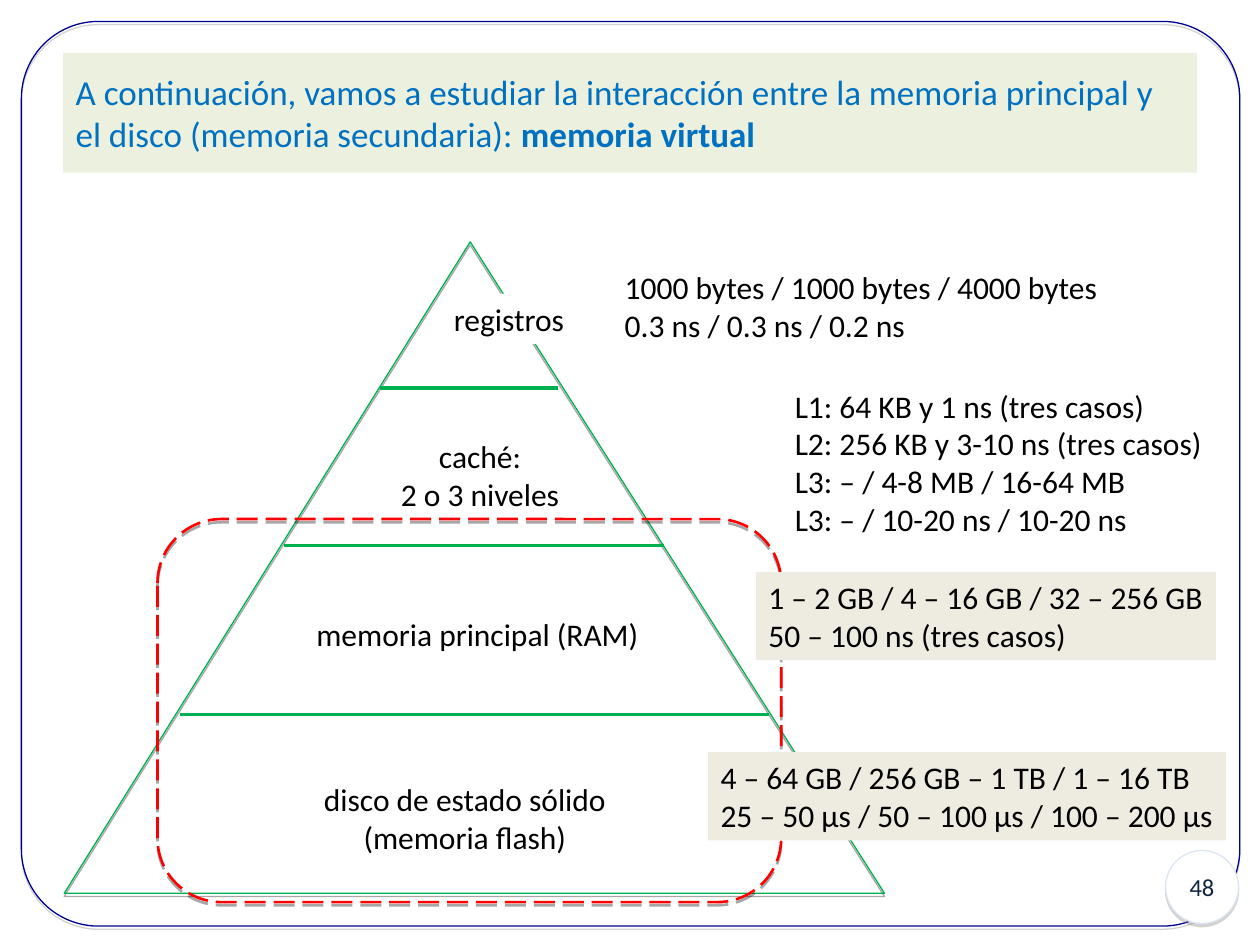
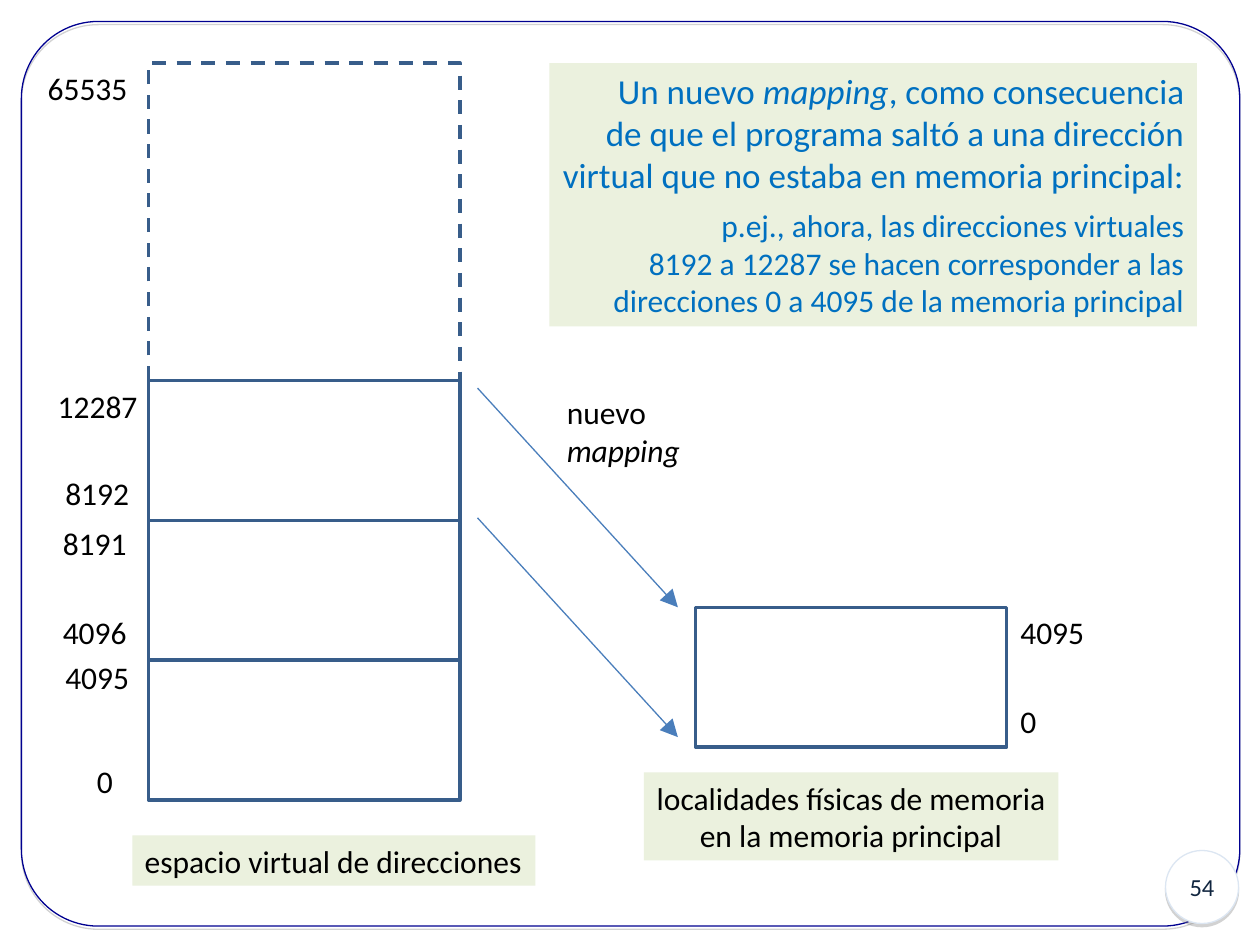
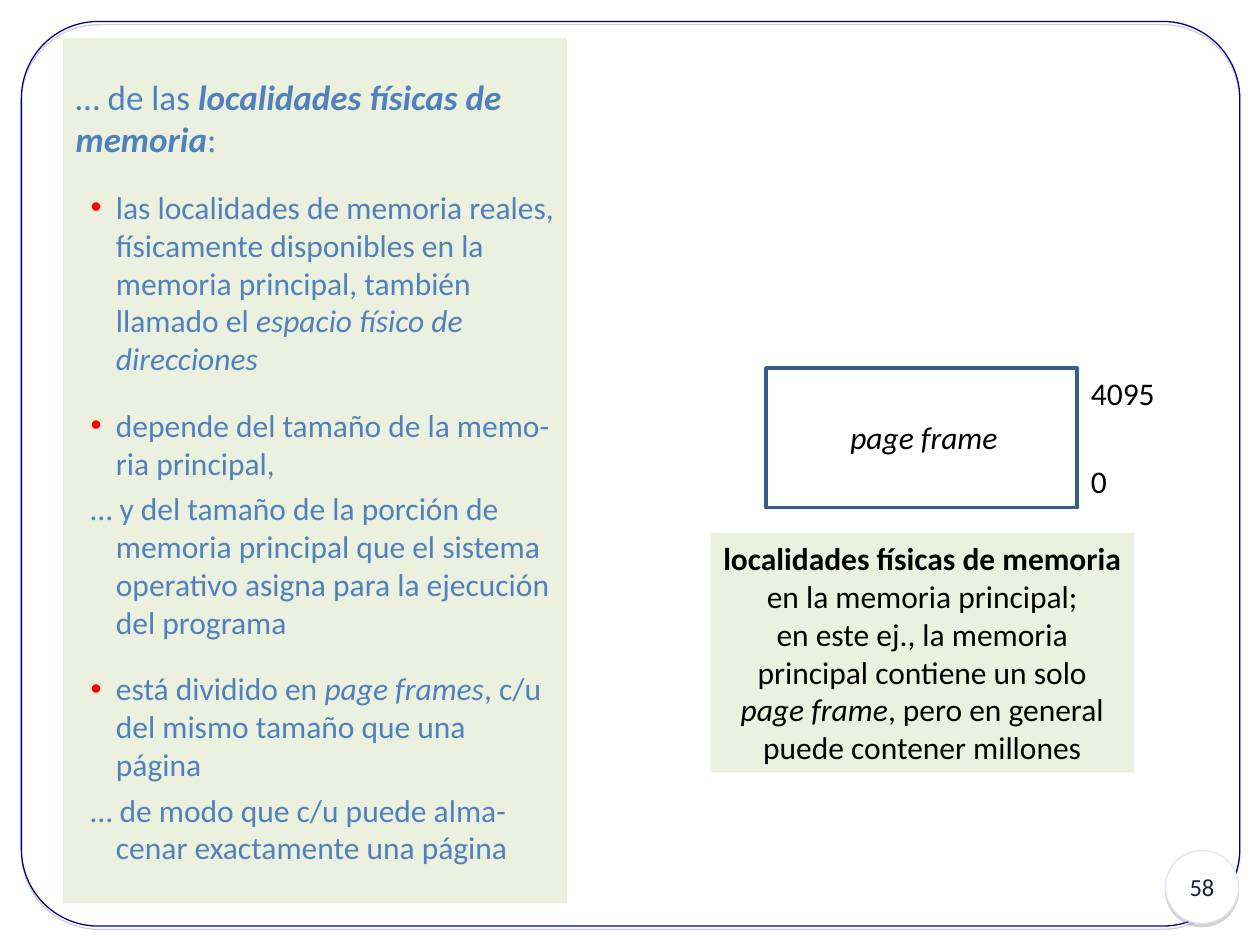
from lxml.etree import SubElement
from pptx import Presentation
from pptx.dml.color import RGBColor
from pptx.enum.dml import MSO_LINE
from pptx.enum.shapes import MSO_CONNECTOR, MSO_SHAPE
from pptx.enum.text import MSO_ANCHOR, MSO_AUTO_SIZE, PP_ALIGN
from pptx.oxml.ns import qn
from pptx.util import Inches, Pt

FONT = "Calibri"
BLACK = RGBColor(0x00, 0x00, 0x00)
WHITE = RGBColor(0xFF, 0xFF, 0xFF)
GRAY = RGBColor(0x80, 0x80, 0x80)
NAVY = RGBColor(0x00, 0x00, 0x90)
BADGE_LINE = RGBColor(0xDC, 0xE6, 0xF2)
BADGE_TEXT = RGBColor(0x10, 0x25, 0x3F)
GREEN = RGBColor(0x00, 0xB0, 0x50)
RED = RGBColor(0xFF, 0x00, 0x00)
PALE_GREEN = RGBColor(0xEB, 0xF1, 0xDE)
BEIGE = RGBColor(0xEE, 0xEC, 0xE1)
TITLE_BLUE = RGBColor(0x00, 0x70, 0xC0)
LIST_BLUE = RGBColor(0x4F, 0x81, 0xBD)
BOX_BLUE = RGBColor(0x38, 0x5D, 0x8A)
ARROW_BLUE = RGBColor(0x4A, 0x7E, 0xBB)

PAGE_WIDTH, PAGE_HEIGHT = 2.47, 1.11
TITLE_AND_CONTENT, TITLE_ONLY = 1, 5


def write_paragraph(frame, text, *, size=18, color=BLACK, align=PP_ALIGN.LEFT,
                    before=0, level=0, margin=0, indent=0, bullet=False):
    """Fill the first empty paragraph or a new one; *bold* and _italic_ mark runs."""
    paragraph = frame.paragraphs[0]
    if paragraph.runs:
        paragraph = frame.add_paragraph()
    properties = paragraph._p.get_or_add_pPr()
    properties.set("marL", str(Inches(margin)))
    properties.set("indent", str(Inches(indent)))
    if bullet:
        bullet_color = SubElement(properties, qn("a:buClr"))
        SubElement(bullet_color, qn("a:srgbClr"), val=str(RED))
        SubElement(properties, qn("a:buChar"), char="•")
    else:
        SubElement(properties, qn("a:buNone"))
    paragraph.level = level
    paragraph.alignment = align
    paragraph.space_before = Pt(before)
    for bold_index, bold_part in enumerate(text.split("*")):
        for italic_index, part in enumerate(bold_part.split("_")):
            if part:
                run = paragraph.add_run()
                run.text = part
                run.font.name = FONT
                run.font.size = Pt(size)
                run.font.color.rgb = color
                run.font.bold = bold_index % 2 == 1
                run.font.italic = italic_index % 2 == 1


def add_shadow(shape, color):
    effects = shape._element.spPr.find(qn("a:effectLst"))
    shadow = SubElement(effects, qn("a:outerShdw"), blurRad="0", dist=str(Pt(1.8)),
                        dir="5400000", rotWithShape="0")
    shadow_color = SubElement(shadow, qn("a:srgbClr"), val=str(color))
    SubElement(shadow_color, qn("a:alpha"), val="35000")


def add_outline(slide, kind, at, color, width, *, fill=None, dash=None,
                shadow=None, adjustment=None):
    shape = slide.shapes.add_shape(kind, *map(Inches, at))
    shape.shadow.inherit = False
    if shadow is not None:
        add_shadow(shape, shadow)
    if fill is None:
        shape.fill.background()
    else:
        shape.fill.solid()
        shape.fill.fore_color.rgb = fill
    shape.line.color.rgb = color
    shape.line.width = Pt(width)
    if dash is not None:
        shape.line.dash_style = dash
    if adjustment is not None:
        shape.adjustments[0] = adjustment
    return shape


def add_line(slide, start, end, color, width, arrow=False):
    line = slide.shapes.add_connector(MSO_CONNECTOR.STRAIGHT,
                                      *map(Inches, (*start, *end)))
    line.line.color.rgb = color
    line.line.width = Pt(width)
    if arrow:
        SubElement(line.line._get_or_add_ln(), qn("a:tailEnd"), type="triangle",
                   w="lg", len="lg")
    SubElement(line._element.spPr, qn("a:effectLst"))


def add_label(slide, at, *lines, fill=None, align=PP_ALIGN.LEFT):
    label = slide.shapes.add_textbox(*map(Inches, at))
    if fill is not None:
        label.fill.solid()
        label.fill.fore_color.rgb = fill
    frame = label.text_frame
    frame.word_wrap = False
    frame.auto_size = MSO_AUTO_SIZE.SHAPE_TO_FIT_TEXT
    for line in lines:
        write_paragraph(frame, line, align=align)


def add_address(slide, address, left, top):
    """Add an address in a box that is wide enough for its digits on one line."""
    width = 0.25 + 0.13 * len(address)
    add_label(slide, (left, top, width, 0.4), address)


def place_panel(placeholder, at, anchor=MSO_ANCHOR.MIDDLE, wrap=True):
    """Move a placeholder, give it the pale green panel and return its text frame."""
    placeholder.left, placeholder.top, placeholder.width, placeholder.height = map(Inches, at)
    placeholder.fill.solid()
    placeholder.fill.fore_color.rgb = PALE_GREEN
    frame = placeholder.text_frame
    frame.auto_size = MSO_AUTO_SIZE.NONE
    frame.word_wrap = wrap
    frame.vertical_anchor = anchor
    return frame


def add_slide(presentation, layout, number):
    slide = presentation.slides.add_slide(presentation.slide_layouts[layout])
    add_outline(slide, MSO_SHAPE.ROUNDED_RECTANGLE, (0.17, 0.17, 9.67, 7.18), NAVY, 0.75,
                shadow=GRAY, adjustment=0.085)
    badge = add_outline(slide, MSO_SHAPE.OVAL, (9.25, 6.75, 0.58, 0.58), BADGE_LINE, 0.75,
                        fill=WHITE, shadow=GRAY)
    badge.text_frame.vertical_anchor = MSO_ANCHOR.MIDDLE
    badge.text_frame.word_wrap = False
    write_paragraph(badge.text_frame, str(number), size=14, color=BADGE_TEXT,
                    align=PP_ALIGN.CENTER)
    return slide


def add_page(slide, left, top):
    add_outline(slide, MSO_SHAPE.RECTANGLE, (left, top, PAGE_WIDTH, PAGE_HEIGHT), BOX_BLUE, 2)


def add_physical_memory(slide, left, top):
    add_page(slide, left, top)
    add_address(slide, "4095", left + 2.48, top)
    add_address(slide, "0", left + 2.48, top + 0.7)


def build_hierarchy_slide(presentation):
    slide = add_slide(presentation, TITLE_ONLY, 48)
    title = place_panel(slide.shapes.title, (0.5, 0.42, 9, 0.95))
    write_paragraph(title, "A continuación, vamos a estudiar la interacción entre la memoria "
                    "principal y el disco (memoria secundaria): *memoria virtual*",
                    size=20, color=TITLE_BLUE)

    add_outline(slide, MSO_SHAPE.ISOSCELES_TRIANGLE, (0.51, 1.92, 6.51, 5.17), GREEN, 0.75,
                shadow=BLACK, adjustment=0.495)
    for left, right, height in ((1.43, 6.1, 5.67), (2.25, 5.27, 4.33), (3.02, 4.43, 3.08)):
        add_line(slide, (left, height), (right, height), GREEN, 2)

    levels = (
        ((3.5, 2.33, 1.08, 0.4), "registros"),
        ((3.08, 3.42, 1.46, 0.7), "caché:", "2 o 3 niveles"),
        ((2.41, 4.83, 2.76, 0.4), "memoria principal (RAM)"),
        ((2.47, 6.14, 2.44, 0.7), "disco de estado sólido", "(memoria flash)"),
    )
    for at, *lines in levels:
        add_label(slide, at, *lines, fill=WHITE, align=PP_ALIGN.CENTER)

    add_label(slide, (4.86, 2.08, 3.96, 0.7), "1000 bytes / 1000 bytes / 4000 bytes",
              "0.3 ns / 0.3 ns / 0.2 ns", fill=WHITE)
    add_outline(slide, MSO_SHAPE.ROUNDED_RECTANGLE, (1.25, 4.12, 4.95, 3.04), RED, 1.5,
                dash=MSO_LINE.LONG_DASH, shadow=BLACK, adjustment=0.167)
    add_label(slide, (6.21, 3.02, 3.43, 1.3), "L1: 64 KB y 1 ns (tres casos)",
              "L2: 256 KB y 3-10 ns (tres casos)", "L3: – / 4-8 MB / 16-64 MB",
              "L3: – / 10-20 ns / 10-20 ns")
    add_label(slide, (6, 4.54, 3.65, 0.7), "1 – 2 GB / 4 – 16 GB / 32 – 256 GB",
              "50 – 100 ns (tres casos)", fill=BEIGE)
    add_label(slide, (5.62, 5.97, 4.11, 0.7), "4 – 64 GB / 256 GB – 1 TB / 1 – 16 TB",
              "25 – 50 µs / 50 – 100 µs / 100 – 200 µs", fill=BEIGE)


def build_mapping_slide(presentation):
    slide = add_slide(presentation, TITLE_ONLY, 54)
    title = place_panel(slide.shapes.title, (4.36, 0.5, 5.14, 2.09), MSO_ANCHOR.TOP, wrap=False)
    for line in ("Un nuevo _mapping_, como consecuencia",
                 "de que el programa saltó a una dirección",
                 "virtual que no estaba en memoria principal:"):
        write_paragraph(title, line, size=20, color=TITLE_BLUE, align=PP_ALIGN.RIGHT)
    for line, before in (("p.ej., ahora, las direcciones virtuales", 6),
                         ("8192 a 12287 se hacen corresponder a las", 0),
                         ("direcciones 0 a 4095 de la memoria principal", 0)):
        write_paragraph(title, line, color=TITLE_BLUE, align=PP_ALIGN.RIGHT, before=before)

    add_outline(slide, MSO_SHAPE.RECTANGLE, (1.18, 0.5, PAGE_WIDTH, 3.63), BOX_BLUE, 2,
                dash=MSO_LINE.DASH)
    for page in range(3):
        add_page(slide, 1.18, 5.24 - page * PAGE_HEIGHT)
    addresses = (
        ("65535", 0.28, 0.5), ("12287", 0.36, 3.02), ("8192", 0.42, 3.71),
        ("8191", 0.4, 4.11), ("4096", 0.4, 4.82), ("4095", 0.42, 5.17), ("0", 0.67, 6),
    )
    for address, left, top in addresses:
        add_address(slide, address, left, top)
    add_label(slide, (1.05, 6.63, 3.2, 0.4), "espacio virtual de direcciones", fill=PALE_GREEN)

    add_physical_memory(slide, 5.52, 4.82)
    add_label(slide, (5.11, 6.13, 3.29, 0.7), "localidades físicas de memoria",
              "en la memoria principal", fill=PALE_GREEN, align=PP_ALIGN.CENTER)
    for top in (3.08, 4.11):
        add_line(slide, (3.79, top), (5.38, top + 1.74), ARROW_BLUE, 0.75, arrow=True)
    add_label(slide, (4.4, 3.07, 1.1, 0.7), "nuevo", "_mapping_")


def build_page_frame_slide(presentation):
    slide = add_slide(presentation, TITLE_AND_CONTENT, 58)
    unused_title = slide.shapes.title._element
    unused_title.getparent().remove(unused_title)
    body = place_panel(slide.placeholders[1], (0.5, 0.3, 4, 6.87))
    write_paragraph(body, "… de las *_localidades físicas de memoria_*:", size=20,
                    color=LIST_BLUE)
    items = (
        ("las localidades de memoria reales, físicamente disponibles en la memoria principal, "
         "también llamado el _espacio físico de direcciones_", True),
        ("depende del tamaño de la memo-ria principal,", True),
        ("… y del tamaño de la porción de memoria principal que el sistema operativo asigna "
         "para la ejecución del programa", False),
        ("está dividido en _page frames_, c/u del mismo tamaño que una página", True),
        ("… de modo que c/u puede alma-cenar exactamente una página", False),
    )
    for text, bullet in items:
        write_paragraph(body, text, color=LIST_BLUE, level=1, margin=0.32, indent=-0.2,
                        before=16.5 if bullet else 4.5, bullet=bullet)

    add_physical_memory(slide, 6.08, 2.92)
    add_label(slide, (6.65, 3.27, 1.37, 0.4), "_page frame_")
    add_label(slide, (5.64, 4.23, 3.36, 1.9), "*localidades físicas de memoria*",
              "en la memoria principal;", "en este ej., la memoria",
              "principal contiene un solo", "_page frame_, pero en general",
              "puede contener millones", fill=PALE_GREEN, align=PP_ALIGN.CENTER)


def main():
    presentation = Presentation()
    presentation.slide_width = Inches(10)
    presentation.slide_height = Inches(7.5)
    build_hierarchy_slide(presentation)
    build_mapping_slide(presentation)
    build_page_frame_slide(presentation)
    presentation.save("out.pptx")


if __name__ == "__main__":
    main()
